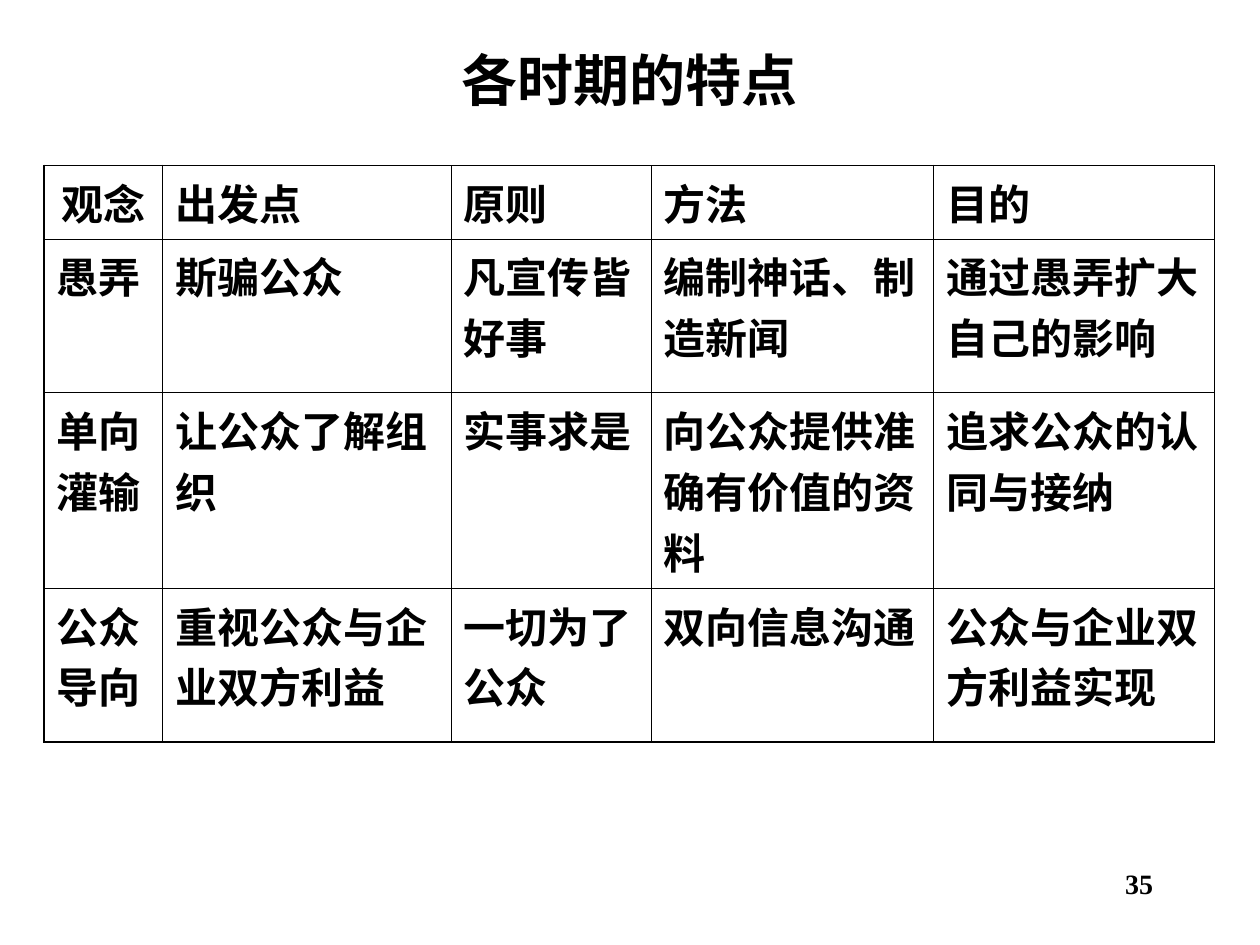
"""Build the slide comparing the features of each public relations period."""
from dataclasses import dataclass
from typing import Any, NamedTuple

from lxml import etree
from pptx import Presentation, util as u
from pptx.dml.color import RGBColor
from pptx.enum import text
from pptx.oxml import ns

WIDTH, HEIGHT = u.Inches(10), u.Inches(7.5)


@dataclass(frozen=True)
class Theme:
    font: str = "Times New Roman"
    ink: str = "000000"
    title_size: int = 32
    table_size: int = 24
    number_size: int = 16
    inner_line: float = 0.45
    outer_line: float = 1.08


class Area(NamedTuple):
    """Left, top, width and height as shares of the slide."""
    left: float
    top: float
    width: float
    height: float

    def lengths(self) -> tuple[int, int, int, int]:
        return (round(self.left * WIDTH), round(self.top * HEIGHT),
                round(self.width * WIDTH), round(self.height * HEIGHT))


class Period(NamedTuple):
    concept: str
    start: str
    principle: str
    method: str
    goal: str


THEME = Theme()
TITLE_AREA = Area(0.075, 0, 0.85, 1 / 6)
TABLE_AREA = Area(0.035, 0.175, 0.93, 0.6)
NUMBER_AREA = Area(0.717, 0.91, 0.208, 0.067)
COLUMNS = (0.94, 2.29, 1.59, 2.24, 2.23)
ROWS = (0.52, 1.22, 1.53, 1.22)
PERIODS = (
    Period("观念", "出发点", "原则", "方法", "目的"),
    Period("愚弄", "斯骗公众", "凡宣传皆好事", "编制神话、制造新闻", "通过愚弄扩大自己的影响"),
    Period("单向灌输", "让公众了解组织", "实事求是", "向公众提供准确有价值的资料", "追求公众的认同与接纳"),
    Period("公众导向", "重视公众与企业双方利益", "一切为了公众", "双向信息沟通", "公众与企业双方利益实现"),
)


def write(frame: Any, words: str, size: int, align: Any = text.PP_ALIGN.LEFT) -> None:
    """Fill a text frame with one bold paragraph."""
    frame.word_wrap = True
    paragraph = frame.paragraphs[0]
    paragraph.alignment = align
    run = paragraph.add_run()
    run.text = words
    look = {"name": THEME.font, "size": u.Pt(size), "bold": True}
    for key, value in look.items():
        setattr(run.font, key, value)
    run.font.color.rgb = RGBColor.from_string(THEME.ink)


def draw_border(cell: Any, side: str, points: float) -> None:
    """Draw one side of a table cell."""
    line = etree.SubElement(cell._tc.get_or_add_tcPr(), ns.qn(f"a:ln{side}"), w=str(u.Pt(points)))
    fill = etree.SubElement(line, ns.qn("a:solidFill"))
    etree.SubElement(fill, ns.qn("a:srgbClr"), val=THEME.ink)


def draw_table(slide: Any) -> None:
    """Draw the grid of periods with a heavier outer frame."""
    grid = slide.shapes.add_table(len(ROWS), len(COLUMNS), *TABLE_AREA.lengths()).table
    grid.first_row = grid.horz_banding = False
    for column, width in zip(grid.columns, COLUMNS):
        column.width = u.Inches(width)
    for row, height in zip(grid.rows, ROWS):
        row.height = u.Inches(height)
    last_row, last_column = len(ROWS) - 1, len(COLUMNS) - 1
    principle = Period._fields.index("principle")
    for r, period in enumerate(PERIODS):
        for c, words in enumerate(period):
            cell = grid.cell(r, c)
            outer = {"L": c == 0, "R": c == last_column,
                     "T": r == 0 and c != principle, "B": r == last_row}
            for side, heavy in outer.items():
                draw_border(cell, side, THEME.outer_line if heavy else THEME.inner_line)
            cell.fill.background()
            align = text.PP_ALIGN.CENTER if r == c == 0 else text.PP_ALIGN.LEFT
            write(cell.text_frame, words, THEME.table_size, align)


def draw_title(slide: Any) -> None:
    """Place and format the title placeholder."""
    title = slide.shapes.title
    for key, value in zip(("left", "top", "width", "height"), TITLE_AREA.lengths()):
        setattr(title, key, value)
    title.text_frame.auto_size = text.MSO_AUTO_SIZE.NONE
    title.text_frame.vertical_anchor = text.MSO_ANCHOR.MIDDLE
    write(title.text_frame, "各时期的特点", THEME.title_size, text.PP_ALIGN.CENTER)


def main() -> None:
    """Assemble and save the presentation."""
    deck = Presentation()
    deck.slide_width, deck.slide_height = WIDTH, HEIGHT
    slide = deck.slides.add_slide(deck.slide_layouts[5])
    draw_title(slide)
    draw_table(slide)
    page_number = slide.shapes.add_textbox(*NUMBER_AREA.lengths())
    write(page_number.text_frame, "35", THEME.number_size, text.PP_ALIGN.RIGHT)
    deck.save("out.pptx")


if __name__ == "__main__":
    main()
